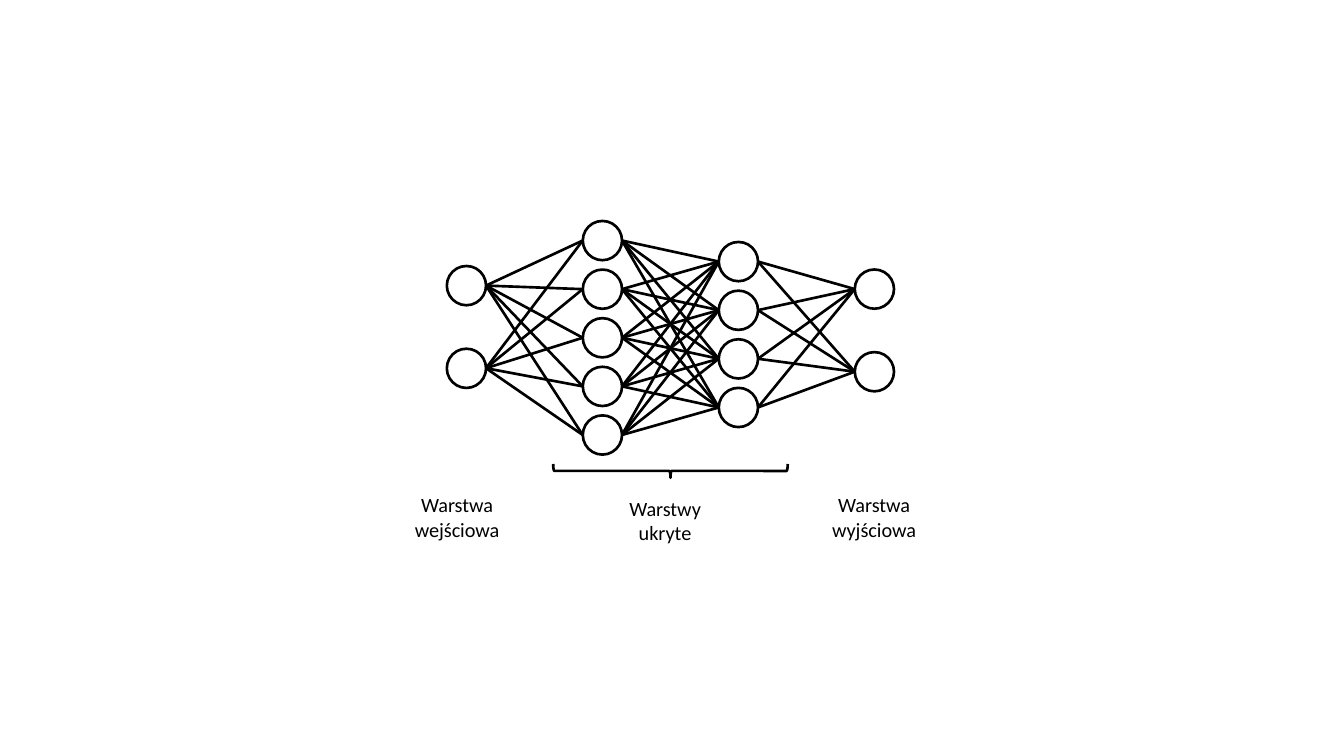
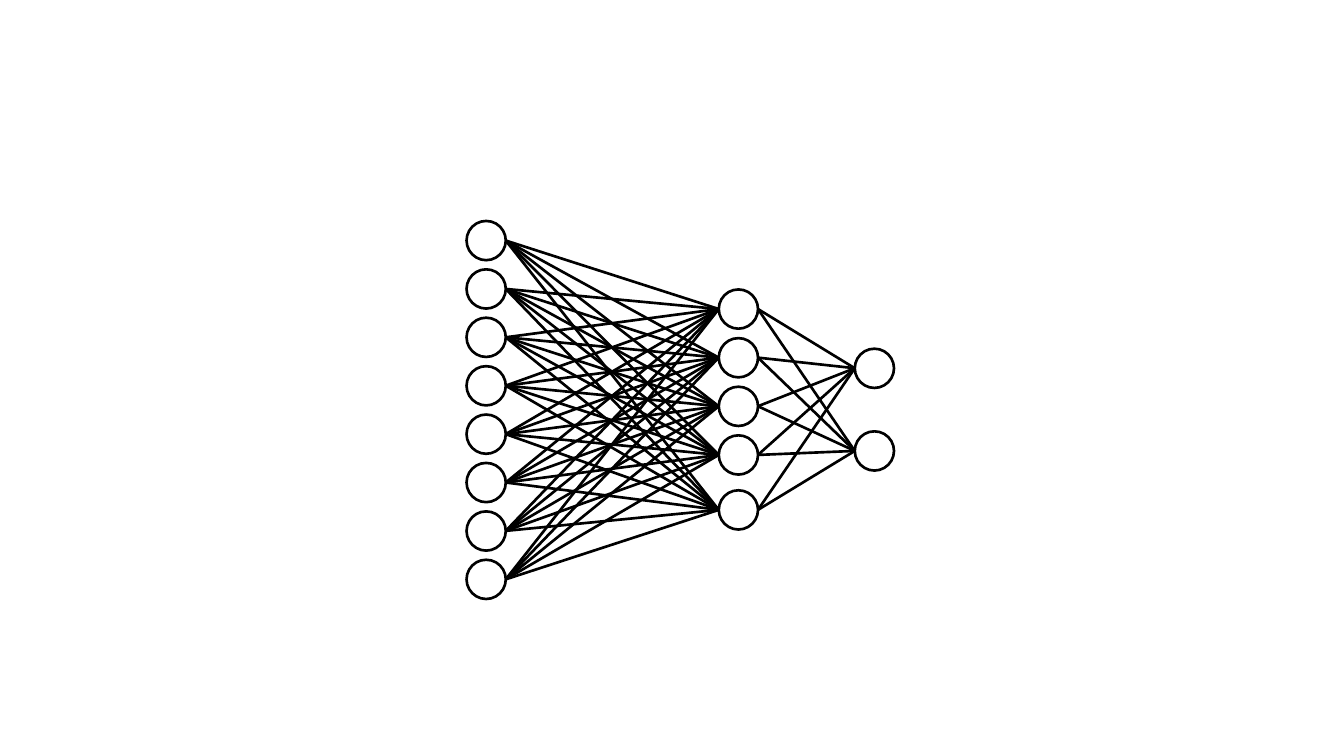
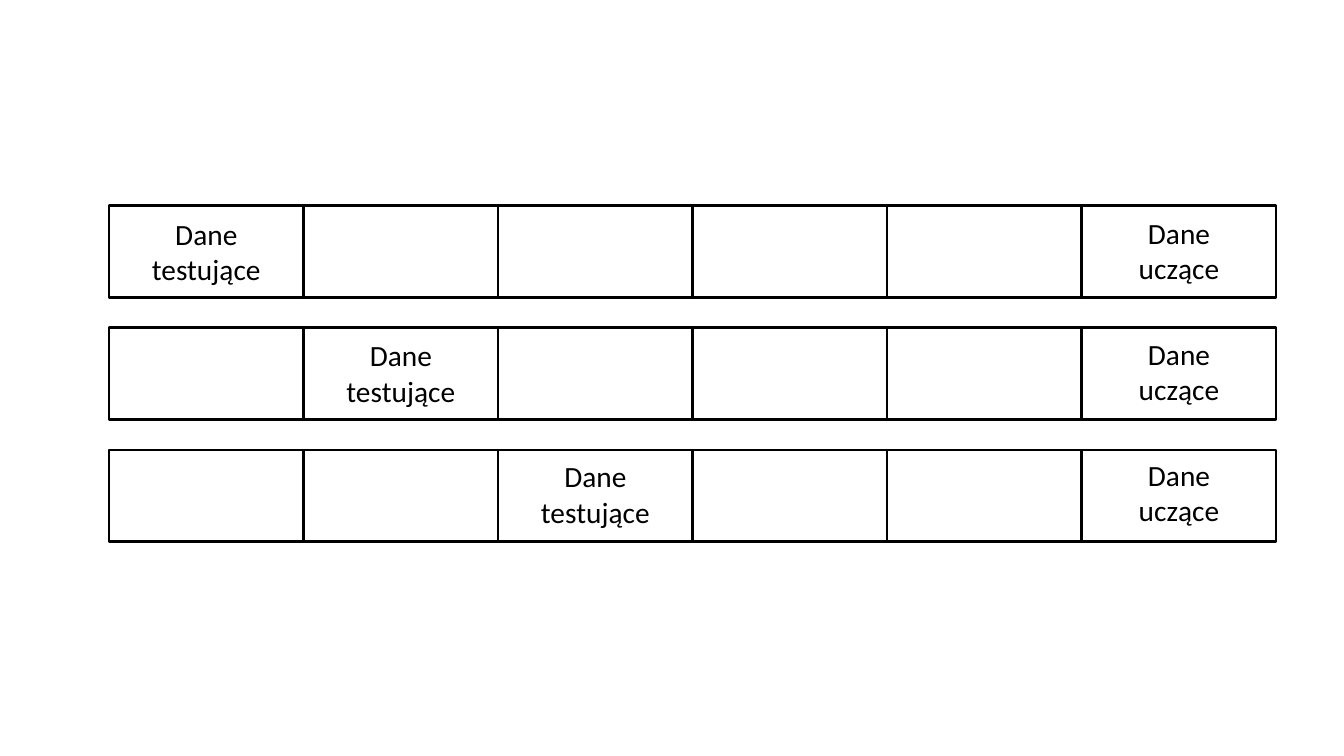
from itertools import product

from lxml.etree import SubElement
from pptx import Presentation
from pptx.dml.color import RGBColor
from pptx.enum.shapes import MSO_CONNECTOR, MSO_SHAPE
from pptx.enum.text import MSO_AUTO_SIZE, PP_ALIGN
from pptx.oxml.ns import qn
from pptx.util import Pt

# Shared style
BLACK = "000000"
WHITE = "FFFFFF"
FONT = "Calibri"
LINE_WIDTH = 1
NEURON = 14.7


def color(value):
    return RGBColor.from_string(value)


def column(first, pitch, count):
    """Return the evenly spaced centres of one layer."""
    return [first + pitch * index for index in range(count)]


class Deck:
    def __init__(self, width, height):
        self.presentation = Presentation()
        self.presentation.slide_width = Pt(width)
        self.presentation.slide_height = Pt(height)
        self.slide = None

    def add_slide(self):
        blank = self.presentation.slide_layouts[6]
        self.slide = self.presentation.slides.add_slide(blank)

    def outline(self, line):
        line.color.rgb = color(BLACK)
        line.width = Pt(LINE_WIDTH)

    def shape(self, kind, left, top, width, height, rotation=0):
        shape = self.slide.shapes.add_shape(
            kind, Pt(left), Pt(top), Pt(width), Pt(height))
        shape.shadow.inherit = False
        shape.rotation = rotation
        shape.fill.solid()
        shape.fill.fore_color.rgb = color(WHITE)
        self.outline(shape.line)

    def line(self, start, end):
        connector = self.slide.shapes.add_connector(
            MSO_CONNECTOR.STRAIGHT, *(Pt(value) for value in (*start, *end)))
        self.outline(connector.line)
        SubElement(connector._element.spPr, qn("a:effectLst"))

    def text(self, paragraphs, left, top, width, height, size):
        box = self.slide.shapes.add_textbox(
            Pt(left), Pt(top), Pt(width), Pt(height))
        frame = box.text_frame
        frame.word_wrap = True
        frame.auto_size = MSO_AUTO_SIZE.SHAPE_TO_FIT_TEXT
        frame.text = "\n".join(paragraphs)
        font_format = {"name": FONT, "size": Pt(size)}
        for paragraph in frame.paragraphs:
            paragraph.alignment = PP_ALIGN.CENTER
            font = paragraph.runs[0].font
            for name, value in font_format.items():
                setattr(font, name, value)
            font.color.rgb = color(BLACK)

    def network(self, layers):
        """Draw layers of (x centre, y centres), each fully joined to the next."""
        radius = NEURON / 2
        for (x, centers), (next_x, next_centers) in zip(layers, layers[1:]):
            for y, next_y in product(centers, next_centers):
                self.line((next_x - radius, next_y), (x + radius, y))
        for x, centers in layers:
            for y in centers:
                self.shape(MSO_SHAPE.OVAL, x - radius, y - radius, NEURON, NEURON)


deck = Deck(504, 283.5)
INNER_PITCH = 18.23
OUTER_PITCH = 31

# Slide 1: network with two hidden layers
deck.add_slide()
layer_x = column(174.9, 51, 4)
layer_y = [
    column(107.1, OUTER_PITCH, 2),
    column(90.2, INNER_PITCH, 5),
    column(98.1, INNER_PITCH, 4),
    column(108.4, OUTER_PITCH, 2),
]
deck.network(list(zip(layer_x, layer_y)))
deck.shape(MSO_SHAPE.RIGHT_BRACE, 248.8, 132.6, 5.2, 88, rotation=90)
layer_labels = [
    (["Warstwa", "wejściowa"], 147.6, 181.2, 26),
    (["Warstwy", "ukryte"], 225.6, 182.4, 35),
    (["Warstwa wyjściowa"], 304, 181.2, 26),
]
for paragraphs, left, top, height in layer_labels:
    deck.text(paragraphs, left, top, 47.6, height, 7.6)

# Slide 2: network with one hidden layer
deck.add_slide()
deck.network([
    (182.3, column(90.2, 18.15, 8)),
    (276.9, column(115.9, INNER_PITCH, 4) + [191.2]),
    (327.9, column(138.1, OUTER_PITCH, 2)),
])

# Slide 3: cross-validation folds
deck.add_slide()
FOLDS, PARTS = 3, 6
GRID_LEFT, GRID_TOP = 40.9, 77.1
CELL_WIDTH, CELL_HEIGHT, ROW_PITCH = 72.95, 34.4, 45.85
LABEL_WIDTH, LABEL_HEIGHT, LABEL_PITCH = 61.2, 34, 45.4
label_margin = (CELL_WIDTH - LABEL_WIDTH) / 2

for fold, part in product(range(FOLDS), range(PARTS)):
    deck.shape(MSO_SHAPE.RECTANGLE, GRID_LEFT + part * CELL_WIDTH,
               GRID_TOP + fold * ROW_PITCH, CELL_WIDTH, CELL_HEIGHT)

for fold in range(FOLDS):
    labels = [("Dane testujące", fold, 77.6), ("Dane uczące", PARTS - 1, 77)]
    for label, part, first_top in labels:
        deck.text([label], GRID_LEFT + part * CELL_WIDTH + label_margin,
                  first_top + fold * LABEL_PITCH, LABEL_WIDTH, LABEL_HEIGHT, 11)

deck.presentation.save("out.pptx")
